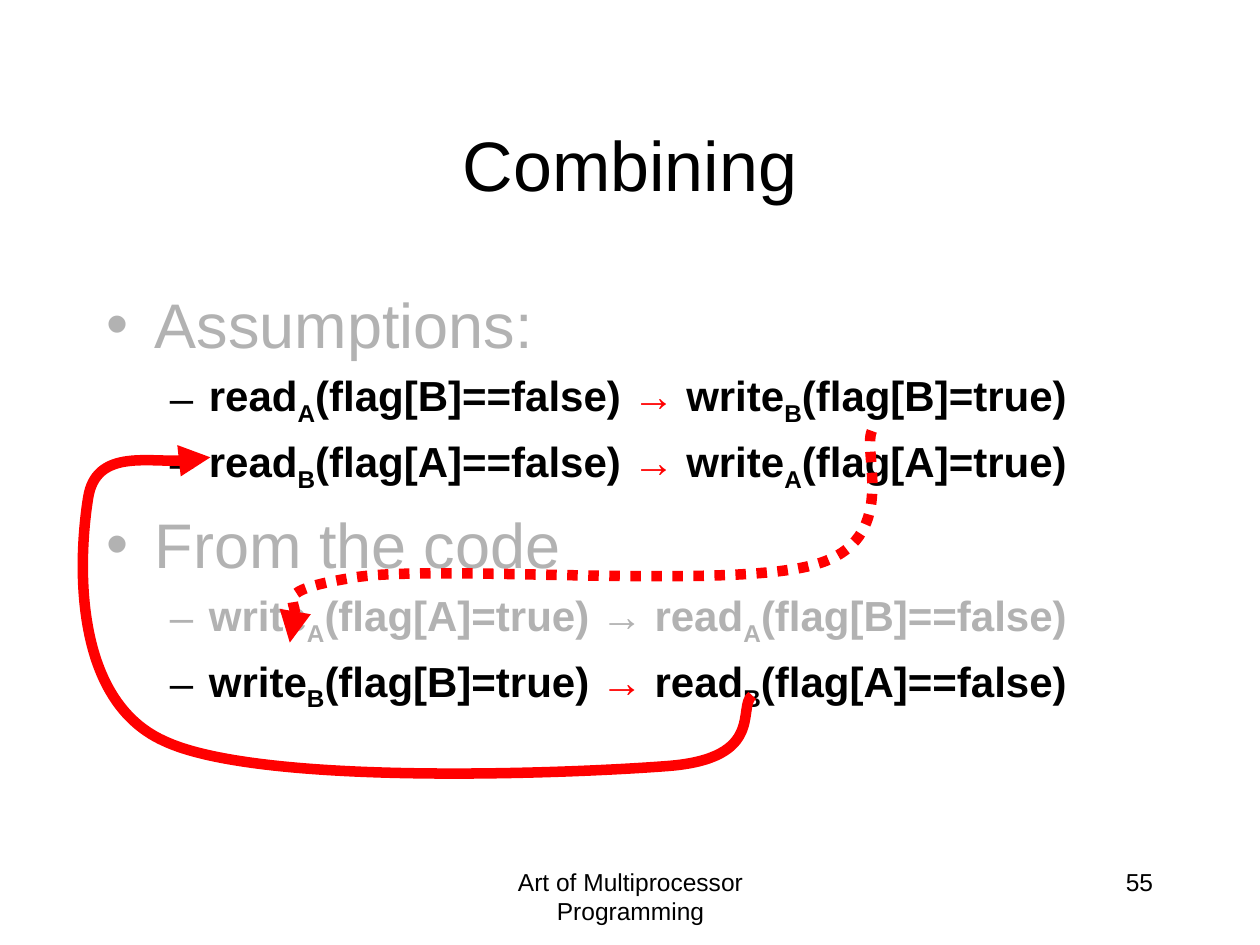
"""Build the "Combining" slide on ordering flag reads and writes."""
from dataclasses import dataclass
from typing import Optional

from lxml import etree
from pptx import Presentation
from pptx.dml.color import RGBColor
from pptx.enum import dml, text
from pptx.oxml.ns import qn
from pptx.util import Inches, Pt

BLACK = RGBColor(0x00, 0x00, 0x00)
GRAY = RGBColor(0xB2, 0xB2, 0xB2)
RED = RGBColor(0xFF, 0x00, 0x00)
FONT = "Arial"


@dataclass
class Event:
    op: str
    thread: str
    args: str


@dataclass
class Ordering:
    before: Event
    after: Event
    color: RGBColor = BLACK
    arrow: RGBColor = RED


@dataclass
class Section:
    heading: str
    orderings: list[Ordering]


@dataclass
class Curve:
    points: list[tuple[float, float]]
    dash: Optional[dml.MSO_LINE] = None


def read(thread: str, flag: str) -> Event:
    return Event("read", thread, f"(flag[{flag}]==false)")


def write(thread: str) -> Event:
    return Event("write", thread, f"(flag[{thread}]=true)")


SECTIONS = [
    Section("Assumptions:", [Ordering(read("A", "B"), write("B")),
                             Ordering(read("B", "A"), write("A"))]),
    Section("From the code", [Ordering(write("A"), read("A", "B"), GRAY, GRAY),
                              Ordering(write("B"), read("B", "A"))]),
]
CURVES = [
    Curve([(5.97, 5.52), (5.85, 5.61), (6.08, 6.02), (5.3, 6.08),
           (4.52, 6.14), (2.06, 6.24), (1.3, 5.88),
           (0.53, 5.53), (0.64, 4.32), (0.7, 3.95),
           (0.76, 3.57), (1.47, 3.7), (1.67, 3.63)]),
    Curve([(6.92, 3.42), (6.84, 3.59), (7.15, 4.29), (6.47, 4.48),
           (5.79, 4.68), (3.53, 4.48), (2.83, 4.58),
           (2.14, 4.69), (2.41, 4.99), (2.3, 5.1)],
          dml.MSO_LINE.ROUND_DOT),
]


def add_run(p, content: str, size: int, color: RGBColor, bold: bool = False):
    r = p.add_run()
    r.text = content
    r.font.name, r.font.size, r.font.bold = FONT, Pt(size), bold
    r.font.color.rgb = color
    return r


def add_box(s, left: float, top: float, width: float, height: float):
    tf = s.shapes.add_textbox(*map(Inches, (left, top, width, height))).text_frame
    tf.word_wrap = True
    return tf


def set_bullet(p, char: str, margin: float, hang: float) -> None:
    pPr = p._p.get_or_add_pPr()
    pPr.set("marL", str(Inches(margin)))
    pPr.set("indent", str(-Inches(hang)))
    etree.SubElement(pPr, qn("a:buFont"), typeface=FONT)
    etree.SubElement(pPr, qn("a:buChar"), char=char)


def add_event(p, event: Event, color: RGBColor) -> None:
    add_run(p, event.op, 24, color, True)
    sub = add_run(p, event.thread, 24, color, True)
    sub._r.get_or_add_rPr().set("baseline", "-25000")
    add_run(p, event.args, 24, color, True)


def add_sections(tf, sections: list[Section]) -> None:
    for i, section in enumerate(sections):
        p = tf.add_paragraph() if i else tf.paragraphs[0]
        if i:
            p.space_before = Pt(7.2)
        set_bullet(p, "•", 0.38, 0.38)
        add_run(p, section.heading, 36, GRAY)
        for ordering in section.orderings:
            p = tf.add_paragraph()
            p.level = 1
            p.space_before = Pt(4.8)
            set_bullet(p, "–", 0.81, 0.31)
            add_event(p, ordering.before, ordering.color)
            add_run(p, " → ", 24, ordering.arrow, True)
            add_event(p, ordering.after, ordering.color)


def add_curve(s, curve: Curve) -> None:
    start, *rest = [(Inches(x), Inches(y)) for x, y in curve.points]
    builder = s.shapes.build_freeform(*start)
    builder.add_line_segments(rest, close=False)
    sp = builder.convert_to_shape()
    sp.shadow.inherit = False
    sp.fill.background()
    sp.line.color.rgb = RED
    sp.line.width = Pt(6)
    if curve.dash:
        sp.line.dash_style = curve.dash
    ln = sp.line._get_or_add_ln()
    etree.SubElement(ln, qn("a:round"))
    etree.SubElement(ln, qn("a:tailEnd"), type="triangle")
    path = next(sp._element.iter(qn("a:path")))
    segments = path.findall(qn("a:lnTo"))
    for i in range(0, len(segments), 3):
        bezier = etree.SubElement(path, qn("a:cubicBezTo"))
        for segment in segments[i:i + 3]:
            bezier.append(segment[0])
            path.remove(segment)


def main() -> None:
    prs = Presentation()
    prs.slide_width, prs.slide_height = Inches(10), Inches(7.5)
    s = prs.slides.add_slide(prs.slide_layouts[5])

    for box, content, align in [
        ((3.42, 6.83, 3.17, 0.5), "Art of Multiprocessor Programming", text.PP_ALIGN.CENTER),
        ((7.17, 6.83, 2.08, 0.5), "55", text.PP_ALIGN.RIGHT),
    ]:
        p = add_box(s, *box).paragraphs[0]
        p.alignment = align
        add_run(p, content, 14, BLACK)

    tf = add_box(s, 0.75, 2.17, 8.5, 4.5)
    tf.margin_top = Inches(0.1)
    add_sections(tf, SECTIONS)

    title = s.shapes.title
    title.left, title.top, title.width, title.height = map(Inches, (0.75, 0.67, 8.5, 1.25))
    title.text_frame.vertical_anchor = text.MSO_ANCHOR.MIDDLE
    p = title.text_frame.paragraphs[0]
    p.alignment = text.PP_ALIGN.CENTER
    add_run(p, "Combining", 40, BLACK)

    for curve in CURVES:
        add_curve(s, curve)
    prs.save("out.pptx")


if __name__ == "__main__":
    main()
